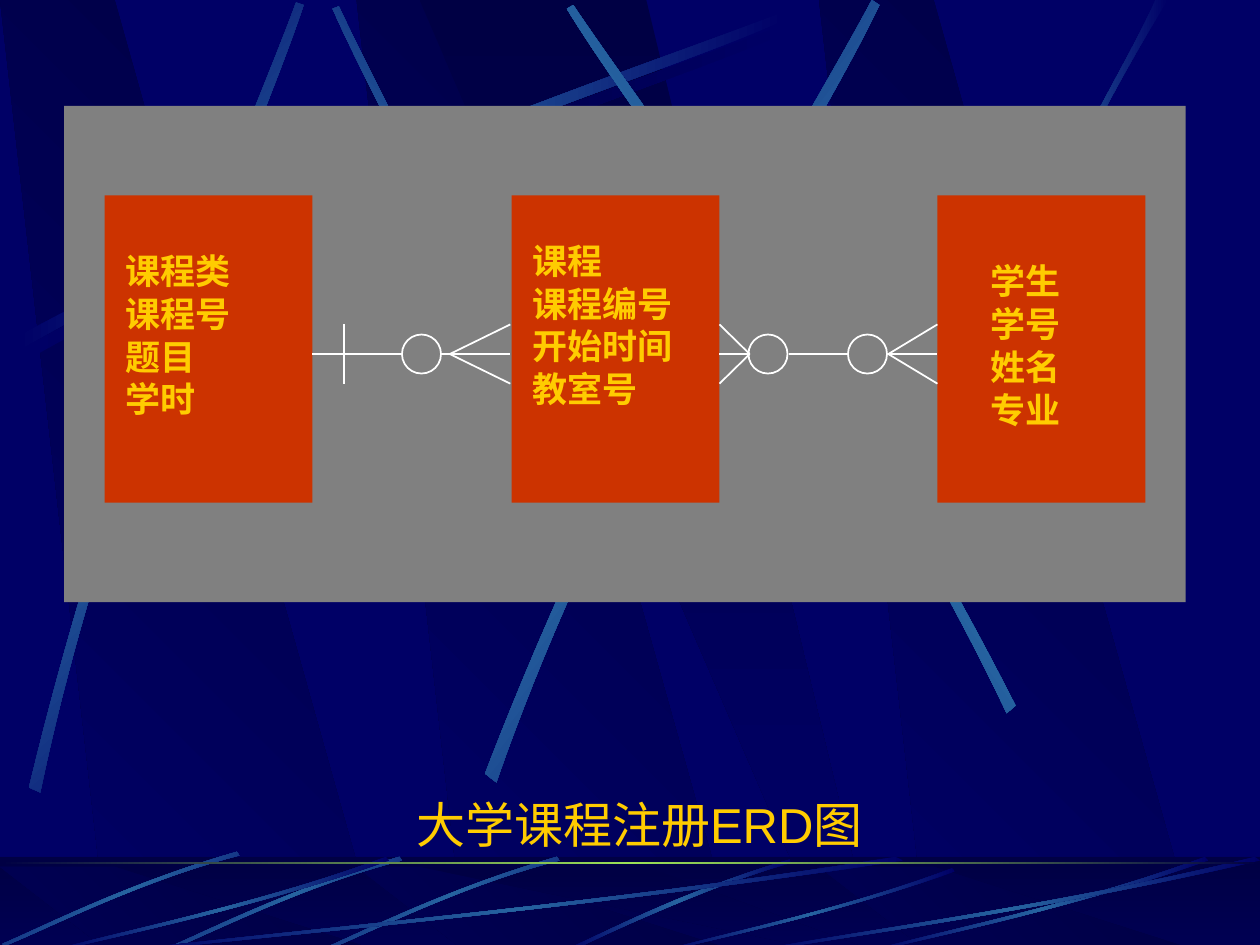
from copy import deepcopy
from dataclasses import dataclass

from lxml import etree
from pptx import Presentation
from pptx.dml.color import RGBColor
from pptx.enum.shapes import MSO_CONNECTOR, MSO_SHAPE
from pptx.enum.text import MSO_ANCHOR, MSO_AUTO_SIZE, PP_ALIGN
from pptx.oxml.ns import qn
from pptx.util import Inches, Pt

RECTANGLE, OVAL = MSO_SHAPE.RECTANGLE, MSO_SHAPE.OVAL
STRAIGHT = MSO_CONNECTOR.STRAIGHT
BOTTOM, FIXED = MSO_ANCHOR.BOTTOM, MSO_AUTO_SIZE.NONE
CENTER, LEFT = PP_ALIGN.CENTER, PP_ALIGN.LEFT
UNITS_PER_INCH = 1000


@dataclass(frozen=True)
class Theme:
    navy: str = "000066"
    midnight: str = "000044"
    streak: str = "2663A0"
    horizon: str = "9CE157"
    panel: str = "808080"
    entity: str = "CC3300"
    text: str = "FFCC00"
    link: str = "FFFFFF"
    font: str = "Arial"
    title_size: int = 28
    entity_size: int = 20


THEME = Theme()
SHADE = (THEME.midnight, THEME.navy)
GLOW = (THEME.navy, THEME.streak, THEME.navy)
DUSK = (THEME.navy, THEME.midnight, THEME.navy)

WIDE_BAND = [(0.86, 1), (3.02, 1), (0.91, 0), (0, 0)]
STEEP_BAND = [(0, 0), (3.25, 1), (3.61, 1), (1.8, 0)]

LONG_ARC = [(0, 2.57), (2.64, 1.16), (5.04, 0.41), (6.06, 0),
            (6.09, 0.06), (5.08, 0.51), (2.34, 1.33), (0.03, 2.67)]
TALL_ARCS = [
    (135, [(4.6, 4.36), (3.91, 2.34), (3.02, 0.77), (2.69, 0.05),
           (2.64, 0.07), (2.95, 0.79), (3.98, 2.58), (4.54, 4.39)]),
    (48.3, [(0.23, 6.25), (0.93, 3.34), (1.97, 1.05), (2.35, 0.02),
            (2.41, 0.04), (2.07, 1.08), (0.86, 3.68), (0.32, 6.29)]),
    (38.4, [(3.85, 6.14), (4.98, 3.2), (6.38, 1.02), (6.92, 0),
            (6.98, 0.04), (6.49, 1.08), (4.86, 3.55), (3.94, 6.21)]),
    (145.2, [(8.06, 5.6), (6.7, 2.93), (5.16, 0.95), (4.55, 0.04),
             (4.5, 0.07), (5.07, 1.01), (6.85, 3.25), (7.99, 5.66)]),
    (180, [(7.38, 3.93), (8.14, 1.73), (8.88, 0.66), (9.17, 0),
           (9.27, 0), (8.36, 1.45), (7.69, 3.22), (7.44, 3.97)]),
]
FLOOR_ARC = [(1.79, 0), (0.89, 0.27), (0.29, 0.6), (0, 0.72),
             (0.05, 0.73), (0.42, 0.55), (1.23, 0.18), (1.8, 0.03)]
SHORT_ARC = [(1.86, 0), (0.99, 0.25), (0.31, 0.6), (0, 0.73),
             (0.01, 0.75), (0.32, 0.63), (1.09, 0.23), (1.88, 0.03)]
FLAT_ARC = [(1, 0.04), (0.57, 0.57), (0.17, 0.85), (0.01, 1),
            (0, 0.99), (0.17, 0.81), (0.61, 0.51), (0.99, 0)]


def paint_gradient(shape, colors, angle):
    shape.fill.gradient()
    stops = shape._element.spPr.find(qn("a:gradFill")).find(qn("a:gsLst"))
    for _ in colors[2:]:
        stops.append(deepcopy(stops[0]))
    for index, (stop, color) in enumerate(zip(shape.fill.gradient_stops, colors)):
        stop.color.rgb = RGBColor.from_string(color)
        stop.position = index / (len(colors) - 1)
    shape.fill.gradient_angle = (360 - angle) % 360
    shape.line.fill.background()
    shape.shadow.inherit = False


def add_block(slide, box, color=None, kind=RECTANGLE):
    block = slide.shapes.add_shape(kind, *map(Inches, box))
    block.shadow.inherit = False
    block.line.fill.background()
    if color:
        block.fill.solid()
        block.fill.fore_color.rgb = RGBColor.from_string(color)
    return block


def add_outline(slide, points, colors, angle, box=(0, 0, 1, 1)):
    left, top, width, height = box
    placed = [((left + x * width) * UNITS_PER_INCH, (top + y * height) * UNITS_PER_INCH)
              for x, y in points]
    builder = slide.shapes.build_freeform(*placed[0], scale=Inches(1) / UNITS_PER_INCH)
    builder.add_line_segments(placed[1:], close=True)
    outline = builder.convert_to_shape()
    paint_gradient(outline, colors, angle)
    return outline


def add_arc(slide, arc, box=(0, 0, 1, 1), angle=180, colors=GLOW):
    outline = add_outline(slide, arc, colors, angle, box)
    segments = list(outline._element.spPr.iter(qn("a:lnTo")))
    for first, second, end in (segments[:3], segments[4:7]):
        first.tag = qn("a:cubicBezTo")
        for segment in (second, end):
            first.append(segment[0])
            segment.getparent().remove(segment)


def add_bands(slide, top, height):
    for left in (2.83, 0, 6.5):
        add_outline(slide, WIDE_BAND, SHADE, 135, (left, top, 1, height))
    add_outline(slide, STEEP_BAND, SHADE, 90, (3.33, top, 1, height))


def add_sky(slide):
    add_bands(slide, 0, 7.52)
    add_arc(slide, LONG_ARC, (0.2, 0.18, 1, 1), colors=DUSK)
    add_arc(slide, LONG_ARC, (0.14, 0.1, 1, 1))
    for angle, arc in TALL_ARCS:
        add_arc(slide, arc, angle=angle)


def add_floor(slide, top, height):
    paint_gradient(add_block(slide, (0, top, 10, height)), SHADE, 90)
    add_bands(slide, top + 0.08, height - 0.08)
    veil = add_block(slide, (0, top, 10, height), THEME.midnight)
    color = veil._element.spPr.find(qn("a:solidFill"))[0]
    etree.SubElement(color, qn("a:alpha"), val="50000")
    add_arc(slide, FLOOR_ARC, (4.48, top + 0.02, 1, 1))
    for left, offset in ((2.56, 0), (1.31, 0), (0.02, -0.04)):
        add_arc(slide, SHORT_ARC, (left, top + offset, 1, 1), angle=45)
    for left, width, offset in ((1, 6.17, 0), (0.42, 2.67, 0), (5.27, 2.31, 0.09),
                                (6.92, 2.67, 0), (6, 4, 0)):
        add_arc(slide, FLAT_ARC, (left, top + offset, width, 0.75 - offset))
    horizon = add_block(slide, (0, top + 0.04, 10, 0.02))
    paint_gradient(horizon, (THEME.midnight, THEME.horizon, THEME.midnight), 180)


def write_text(frame, lines, size, bold, align, line_spacing, gap):
    frame.word_wrap = True
    frame.auto_size = FIXED
    frame.vertical_anchor = BOTTOM
    frame.text = "\n".join(lines)
    for index, paragraph in enumerate(frame.paragraphs):
        paragraph.alignment = align
        paragraph.line_spacing = line_spacing
        paragraph.space_before = Pt(gap if index else 0)
        font = paragraph.runs[0].font
        font.name, font.size, font.bold = THEME.font, Pt(size), bold
        font.color.rgb = RGBColor.from_string(THEME.text)


def add_entity(slide, box, text_offset, lines):
    left, top, _, _ = box
    add_block(slide, box, THEME.entity)
    dx, dy = text_offset
    label = slide.shapes.add_textbox(*map(Inches, (left + dx, top + dy, 1.5, 1.29)))
    write_text(label.text_frame, lines, THEME.entity_size, True, LEFT, 0.5, 12.5)


def add_link(slide, start, end):
    link = slide.shapes.add_connector(STRAIGHT, *map(Inches, (*start, *end)))
    link.line.color.rgb = RGBColor.from_string(THEME.link)
    link.line.width = Pt(1)
    etree.SubElement(link._element.spPr, qn("a:effectLst"))


def add_optional_many(slide, axis, circle_left, tip, edge, size=0.31, spread=0.235):
    circle = add_block(slide, (circle_left, axis - size / 2, size, size), kind=OVAL)
    circle.fill.background()
    circle.line.color.rgb = RGBColor.from_string(THEME.link)
    circle.line.width = Pt(1)
    rim = circle_left + size if edge > circle_left else circle_left
    add_link(slide, (rim, axis), (edge, axis))
    for offset in (-spread, spread):
        add_link(slide, (tip, axis), (edge, axis + offset))


def add_diagram(slide, box):
    left, top, _, _ = box
    add_block(slide, box, THEME.panel)
    for dx, text_offset, lines in (
        (0.32, (0.07, 0.52), ["课程类", "课程号", "题目", "学时"]),
        (3.55, (0.07, 0.44), ["课程", "课程编号", "开始时间", "教室号"]),
        (6.93, (0.32, 0.6), ["学生", "学号", "姓名", "专业"]),
    ):
        add_entity(slide, (left + dx, top + 0.71, 1.65, 2.44), text_offset, lines)
    axis = top + 1.97
    add_link(slide, (left + 1.97, axis), (left + 2.68, axis))
    add_link(slide, (left + 2.22, axis - 0.235), (left + 2.22, axis + 0.235))
    add_link(slide, (left + 5.75, axis), (left + 6.22, axis))
    for circle, tip, edge in ((2.68, 3.06, 3.54), (5.43, 5.44, 5.2), (6.22, 6.54, 6.93)):
        add_optional_many(slide, axis, left + circle, left + tip, left + edge)


def place_title(slide, box):
    title = slide.shapes.title
    title.left, title.top, title.width, title.height = map(Inches, box)
    write_text(title.text_frame, ["大学课程注册ERD图"], THEME.title_size, False, CENTER, 1.0, 0)
    slide.shapes._spTree.append(title._element)


def main():
    deck = Presentation()
    deck.slide_width, deck.slide_height = Inches(10), Inches(7.5)
    slide = deck.slides.add_slide(deck.slide_layouts[5])
    slide.background.fill.solid()
    slide.background.fill.fore_color.rgb = RGBColor.from_string(THEME.navy)
    add_sky(slide)
    add_floor(slide, 6.8, 0.75)
    add_diagram(slide, (0.51, 0.84, 8.9, 3.94))
    place_title(slide, (2.87, 6.25, 4.41, 0.57))
    deck.save("out.pptx")


if __name__ == "__main__":
    main()
